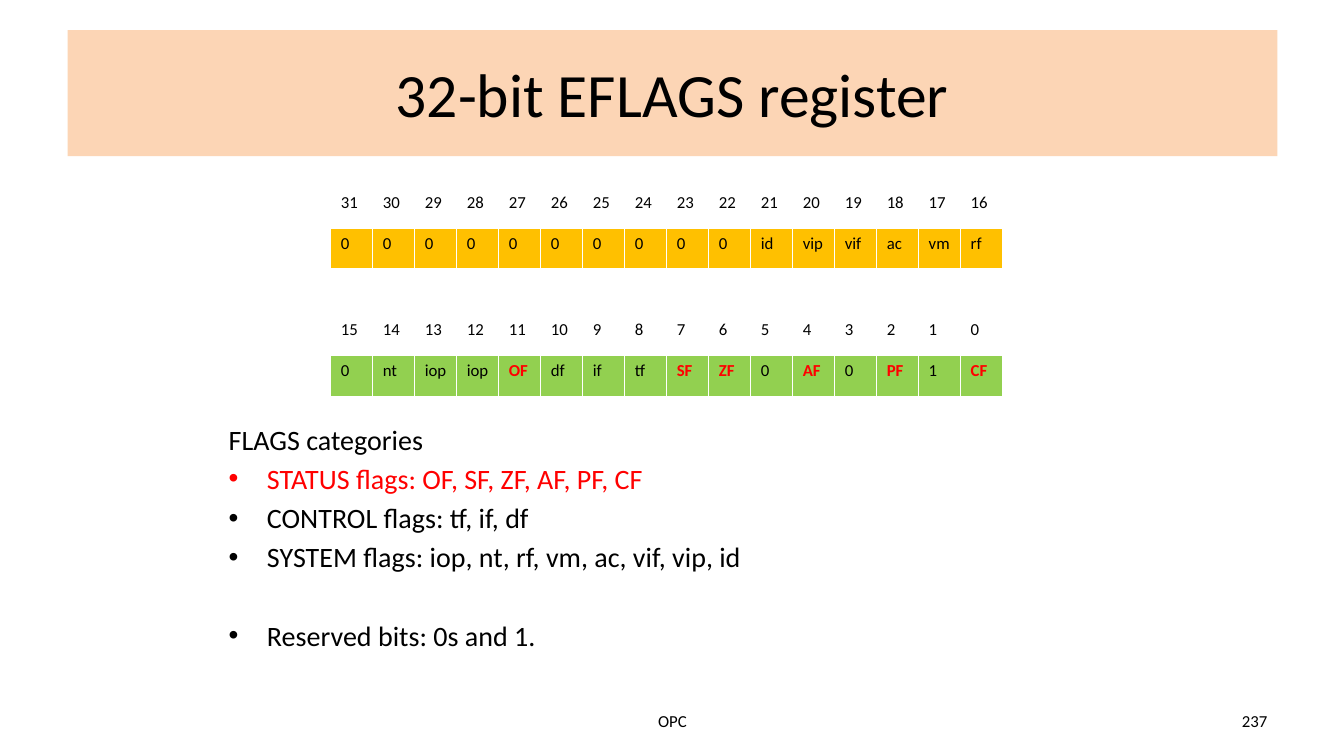
"""Build a slide showing the bits and categories of the 32-bit EFLAGS register."""
from lxml.etree import SubElement
from pptx import Presentation
from pptx.dml.color import RGBColor
from pptx.enum.shapes import MSO_SHAPE
from pptx.enum.text import MSO_ANCHOR, PP_ALIGN
from pptx.oxml.ns import qn
from pptx.util import Inches, Pt

BLACK, RED, WHITE = "000000", "FF0000", "FFFFFF"


def rgb(value):
    return RGBColor.from_string(value)


def write(paragraph, text, size, color=BLACK, align=PP_ALIGN.LEFT, bold=False):
    paragraph.text = text
    paragraph.alignment = align
    font = paragraph.font
    font.name, font.size, font.bold = "Calibri", Pt(size), bold
    font.color.rgb = rgb(color)


presentation = Presentation()
presentation.slide_width = Inches(13.33)
presentation.slide_height = Inches(7.5)
slide = presentation.slides.add_slide(presentation.slide_layouts[6])

title = slide.shapes.add_shape(MSO_SHAPE.RECTANGLE, Inches(0.67), Inches(0.3), Inches(12), Inches(1.25))
title.shadow.inherit = False
title.fill.solid()
title.fill.fore_color.rgb = rgb("FCD5B5")
title.line.fill.background()
title.text_frame.vertical_anchor = MSO_ANCHOR.MIDDLE
write(title.text_frame.paragraphs[0], "32-bit EFLAGS register", 44, align=PP_ALIGN.CENTER)

footers = [
    ("OPC", 4.56, 4.22, PP_ALIGN.CENTER),
    ("237", 9.56, 3.11, PP_ALIGN.RIGHT),
]
for text, left, width, align in footers:
    footer = slide.shapes.add_textbox(Inches(left), Inches(6.95), Inches(width), Inches(0.4))
    footer.text_frame.word_wrap = True
    footer.text_frame.vertical_anchor = MSO_ANCHOR.MIDDLE
    write(footer.text_frame.paragraphs[0], text, 12, align=align)

status_flags = ["OF", "SF", "ZF", "AF", "PF", "CF"]
register_halves = [
    (15, 3.12, "92D050", "0 nt iop iop OF df if tf SF ZF 0 AF 0 PF 1 CF"),
    (31, 1.86, "FFC000", "0 0 0 0 0 0 0 0 0 0 id vip vif ac vm rf"),
]
for high_bit, top, flag_fill, flags in register_halves:
    frame = slide.shapes.add_table(2, 16, Inches(3.28), Inches(top), Inches(6.67), Inches(0.81))
    table = frame.table
    for column, flag in enumerate(flags.split()):
        for row, (text, fill) in enumerate([(str(high_bit - column), WHITE), (flag, flag_fill)]):
            cell = table.cell(row, column)
            cell.fill.solid()
            cell.fill.fore_color.rgb = rgb(fill)
            is_status = text in status_flags
            write(cell.text_frame.paragraphs[0], text, 12, RED if is_status else BLACK, bold=is_status)

categories = [
    ("FLAGS categories", BLACK, 0),
    ("STATUS flags: " + ", ".join(status_flags), RED, 4),
    ("CONTROL flags: tf, if, df", BLACK, 4),
    ("SYSTEM flags: iop, nt, rf, vm, ac, vif, vip, id", BLACK, 4),
    ("Reserved bits: 0s and 1.", BLACK, 32),
]
body = slide.shapes.add_textbox(Inches(2.17), Inches(4.14), Inches(9), Inches(2.76))
body.text_frame.word_wrap = True
for index, (text, color, space_before) in enumerate(categories):
    paragraph = body.text_frame.add_paragraph() if index else body.text_frame.paragraphs[0]
    paragraph.space_before = Pt(space_before)
    if index:
        properties = paragraph._p.get_or_add_pPr()
        properties.set("marL", str(Inches(0.38)))
        properties.set("indent", str(-Inches(0.38)))
        SubElement(properties, qn("a:buFont"), typeface="Arial")
        SubElement(properties, qn("a:buChar"), char="•")
    write(paragraph, text, 20, color)

presentation.save("out.pptx")
